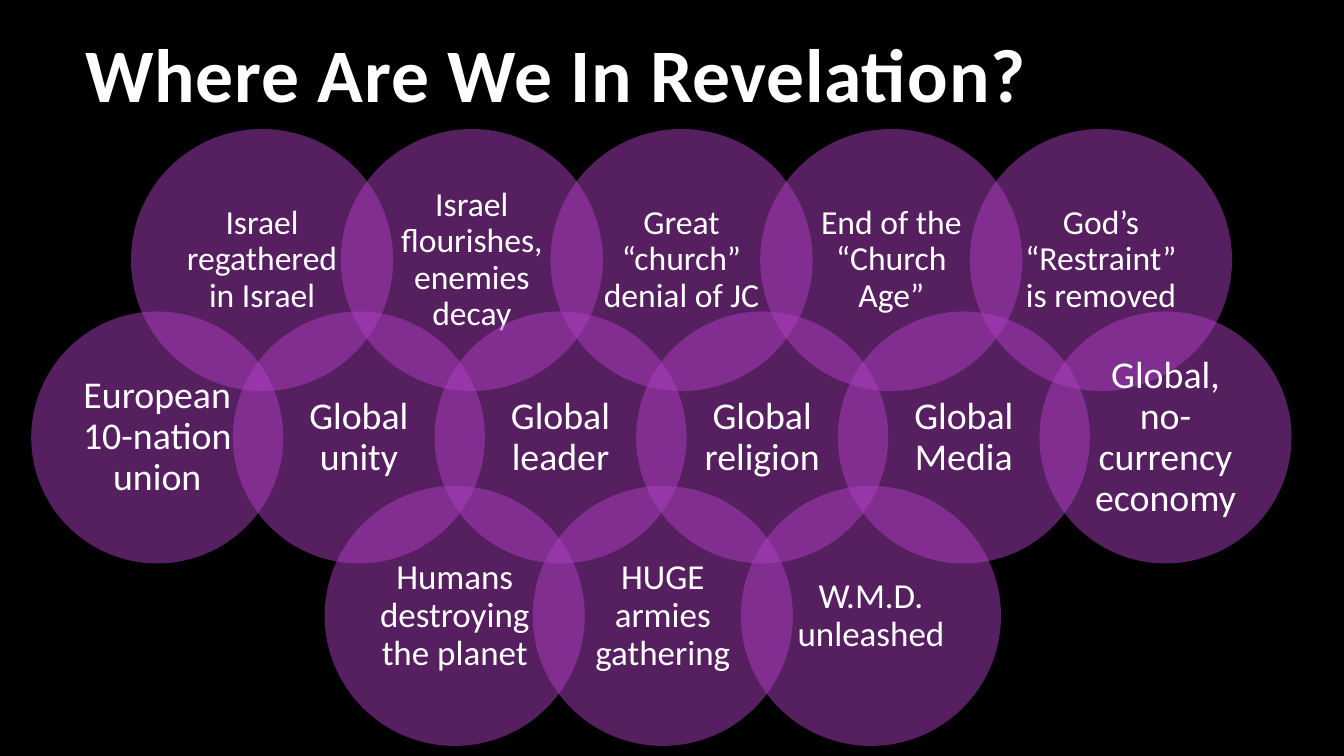
import pptx
import pptx.dml.color
import pptx.enum.shapes
import pptx.enum.text
import pptx.oxml
import pptx.oxml.ns
import pptx.util

Inches = pptx.util.Inches
COLORS = {"background": "000000", "title": "FEFEFE", "purple": "AC3EC1", "text": "FFFFFF"}
FONT = "Calibri"
OVERLAP = 0.2
ROWS = [
    (1.3, 1.28, 2.6, 24, [
        "Israel regathered in Israel",
        "Israel flourishes, enemies decay",
        "Great “church” denial of JC",
        "End of the “Church Age”",
        "God’s “Restraint” is removed",
    ]),
    (0.31, 3.09, 2.5, 27, [
        "European 10-nation union",
        "Global unity",
        "Global leader",
        "Global religion",
        "Global Media",
        "Global, no-currency economy",
    ]),
    (3.22, 4.82, 2.58, 25, [
        "Humans destroying the planet",
        "HUGE armies gathering",
        "W.M.D. unleashed",
    ]),
]


class SlideBuilder:
    """Draws styled titles and rows of overlapping circles on a slide."""

    def __init__(self, slide):
        self.slide = slide
        fill = slide.background.fill
        fill.solid()
        fill.fore_color.rgb = self.color("background")

    def color(self, name):
        return pptx.dml.color.RGBColor.from_string(COLORS[name])

    def style(self, font, size, color):
        font.name = FONT
        font.size = pptx.util.Pt(size)
        font.color.rgb = self.color(color)

    def title(self, text, left, top, width, height):
        box = self.slide.shapes.add_textbox(
            Inches(left), Inches(top), Inches(width), Inches(height))
        frame = box.text_frame
        frame.word_wrap = True
        frame.vertical_anchor = pptx.enum.text.MSO_ANCHOR.MIDDLE
        para = frame.paragraphs[0]
        span = para.add_run()
        span.text = text
        self.style(span.font, 54, "title")
        span.font.bold = True
        properties = span.font._element
        properties.set("spc", "50")
        namespace = pptx.oxml.ns.nsdecls("a")
        shadow = pptx.oxml.parse_xml(
            f'<a:effectLst {namespace}><a:outerShdw blurRad="38100" dist="38100" dir="2700000">'
            f'<a:srgbClr val="{COLORS["purple"]}"/></a:outerShdw></a:effectLst>')
        properties.find(pptx.oxml.ns.qn("a:solidFill")).addnext(shadow)
        outline = pptx.oxml.parse_xml(
            f'<a:ln {namespace} w="9525"><a:solidFill>'
            f'<a:srgbClr val="{COLORS["purple"]}"/></a:solidFill></a:ln>')
        properties.insert(0, outline)

    def circle(self, text, left, top, diameter, size):
        shape = self.slide.shapes.add_shape(
            pptx.enum.shapes.MSO_SHAPE.OVAL,
            Inches(left), Inches(top), Inches(diameter), Inches(diameter))
        shape.shadow.inherit = False
        shape.line.fill.background()
        shape.fill.solid()
        shape.fill.fore_color.rgb = self.color("purple")
        tint = shape.fill._xPr.find(".//" + pptx.oxml.ns.qn("a:srgbClr"))
        tint.append(pptx.oxml.parse_xml(
            f'<a:alpha {pptx.oxml.ns.nsdecls("a")} val="50000"/>'))
        frame = shape.text_frame
        frame.word_wrap = True
        frame.vertical_anchor = pptx.enum.text.MSO_ANCHOR.MIDDLE
        frame.margin_left = frame.margin_right = Inches(0.14)
        frame.margin_top = frame.margin_bottom = Inches(0.03)
        para = frame.paragraphs[0]
        para.text = text
        para.alignment = pptx.enum.text.PP_ALIGN.CENTER
        para.line_spacing = 0.9
        self.style(para.font, size, "text")

    def circle_row(self, left, top, diameter, size, labels):
        step = diameter * (1 - OVERLAP)
        for index, label in enumerate(labels):
            self.circle(label, left + index * step, top, diameter, size)


def main():
    deck = pptx.Presentation()
    deck.slide_width = Inches(13.33)
    deck.slide_height = Inches(7.5)
    page = SlideBuilder(deck.slides.add_slide(deck.slide_layouts[6]))
    page.title("Where Are We In Revelation?", 0.75, 0.27, 11.08, 0.9)
    for row in ROWS:
        page.circle_row(*row)
    deck.save("out.pptx")


if __name__ == "__main__":
    main()
